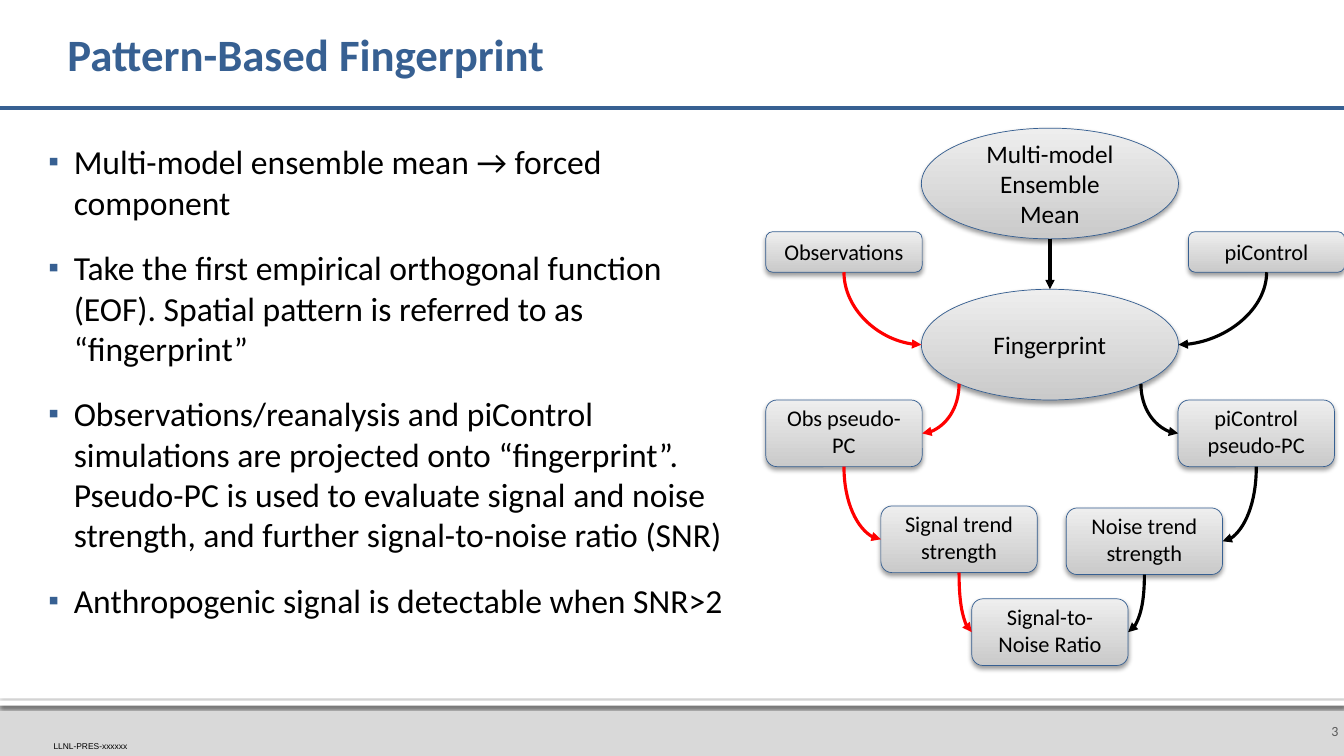
"""Build the slide on pattern-based fingerprints."""
from math import sqrt

from lxml.etree import SubElement
from pptx import Presentation
from pptx.dml.color import RGBColor
from pptx.enum.shapes import MSO_CONNECTOR as Link, MSO_SHAPE as Preset
from pptx.enum.text import MSO_ANCHOR as Anchor, MSO_AUTO_SIZE as AutoSize, PP_ALIGN as Align
from pptx.oxml.ns import qn
from pptx.util import Cm, Pt

COLORS = {
    "blue": "376092", "black": "000000", "red": "FF0000", "white": "FFFFFF",
    "band": "D9D9D9", "number": "595959", "dark": "CACACA", "light": "EEEEEE",
}
BULLETS = [
    "Multi-model ensemble mean → forced component",
    "Take the first empirical orthogonal function (EOF). Spatial pattern is "
    "referred to as “fingerprint”",
    "Observations/reanalysis and piControl simulations are projected onto "
    "“fingerprint”. Pseudo-PC is used to evaluate signal and noise strength, "
    "and further signal-to-noise ratio (SNR)",
    "Anthropogenic signal is detectable when SNR>2",
]
ELLIPSES = {
    "mean": ("Multi-model Ensemble Mean", 3.23),
    "fingerprint": ("Fingerprint", 7.29),
}
BOXES = {
    "observations": ("Observations", 19.3, 5.84, 1.02),
    "control": ("piControl", 29.95, 5.84, 1.02),
    "observed_pc": ("Obs pseudo-PC", 19.3, 10.08, 1.68),
    "control_pc": ("piControl pseudo-PC", 29.69, 10.08, 1.68),
    "signal": ("Signal trend strength", 22.2, 12.75, 1.68),
    "noise": ("Noise trend strength", 26.87, 12.8, 1.68),
    "ratio": ("Signal-to-Noise Ratio", 24.49, 15.09, 1.68),
}
CURVES = [
    ("observations", "fingerprint", "red"), ("control", "fingerprint", "black"),
    ("fingerprint", "observed_pc", "red"), ("fingerprint", "control_pc", "black"),
    ("observed_pc", "signal", "red"), ("control_pc", "noise", "black"),
    ("signal", "ratio", "red"), ("noise", "ratio", "black"),
]


def rgb(name):
    """Return the named colour."""
    return RGBColor.from_string(COLORS[name])


def add_run(paragraph, text, size, color="black", font="Calibri", bold=False):
    """Add one formatted run."""
    run = paragraph.add_run()
    run.text = text
    run.font.name, run.font.size, run.font.bold = font, Pt(size), bold
    run.font.color.rgb = rgb(color)


def set_frame(frame, anchor, margins):
    """Set wrapping, anchor and margins (left, top, right, bottom) of a text frame."""
    frame.word_wrap = True
    frame.auto_size = AutoSize.NONE
    frame.vertical_anchor = anchor
    (frame.margin_left, frame.margin_top,
     frame.margin_right, frame.margin_bottom) = map(Cm, margins)


def add_text_box(slide, place, anchor, margins):
    """Add an empty text box and return its text frame."""
    frame = slide.shapes.add_textbox(*map(Cm, place)).text_frame
    set_frame(frame, anchor, margins)
    return frame


def add_shadow(shape, opacity, blur, distance):
    """Give a shape a soft black shadow that falls downwards."""
    shape.shadow.inherit = False
    effects = shape._element.spPr.find(qn("a:effectLst"))
    shadow = SubElement(effects, qn("a:outerShdw"), blurRad=str(Pt(blur)),
                        dist=str(Pt(distance)), dir="5400000", rotWithShape="0")
    color = SubElement(shadow, qn("a:srgbClr"), val=COLORS["black"])
    SubElement(color, qn("a:alpha"), val=str(opacity * 1000))


def add_band(slide, top, height, color):
    """Add a full-width band without outline."""
    band = slide.shapes.add_shape(Preset.RECTANGLE, 0, Cm(top), Cm(33.87), Cm(height))
    band.fill.solid()
    band.fill.fore_color.rgb = rgb(color)
    band.line.fill.background()
    band.shadow.inherit = False
    return band


def add_node(slide, preset, text, place, size, anchor):
    """Add one grey gradient node of the flow chart."""
    node = slide.shapes.add_shape(preset, *map(Cm, place))
    node.fill.gradient()
    node.fill.gradient_angle = 90
    for stop, color in zip(node.fill.gradient_stops, ("dark", "light")):
        stop.color.rgb = rgb(color)
    node.line.color.rgb = rgb("blue")
    node.line.width = Pt(0.5)
    add_shadow(node, 38, 3.5, 2)
    set_frame(node.text_frame, anchor, (0.25, 0.13, 0.25, 0.13))
    paragraph = node.text_frame.paragraphs[0]
    paragraph.alignment = Align.CENTER
    add_run(paragraph, text, size)
    return node


def add_line(slide, start, end, color, width, kind=Link.STRAIGHT, arrow=True):
    """Add a connector, with an arrowhead if wanted."""
    line = slide.shapes.add_connector(kind, *map(int, (*start, *end)))
    line.line.color.rgb = rgb(color)
    line.line.width = Pt(width)
    properties = line._element.spPr
    if arrow:
        SubElement(properties.find(qn("a:ln")), qn("a:tailEnd"), type="triangle")
    SubElement(properties, qn("a:effectLst"))
    return line


def center(shape):
    """Return the centre point of a shape."""
    return shape.left + shape.width / 2, shape.top + shape.height / 2


def add_curve(slide, source, target, color):
    """Add a quarter-turn arrow from the underside of source to the side of target."""
    (source_x, source_y), (target_x, target_y) = center(source), center(target)
    side = 1 if target_x > source_x else -1
    start_x, start_y = source_x, source.top + source.height
    if source.auto_shape_type == Preset.OVAL:
        start_x = source_x + side * source.width / sqrt(8)
        start_y = source_y + source.height / sqrt(8)
    end_x = target_x - side * target.width / 2
    middle_x, middle_y = (start_x + end_x) / 2, (start_y + target_y) / 2
    half_width, half_height = (target_y - start_y) / 2, abs(end_x - start_x) / 2
    curve = add_line(slide, (middle_x + side * half_width, middle_y - half_height),
                     (middle_x - side * half_width, middle_y + half_height),
                     color, 2.25, Link.CURVE)
    properties = curve._element.spPr
    properties.find(qn("a:prstGeom")).set("prst", "curvedConnector2")
    properties.find(qn("a:xfrm")).set("rot", "16200000" if side > 0 else "5400000")


def add_title(slide):
    """Place and format the title and the rule under it."""
    title = slide.shapes.title
    title.left, title.top, title.width, title.height = map(Cm, (1.7, 0.05, 30.48, 2.79))
    set_frame(title.text_frame, Anchor.MIDDLE, (0, 0.13, 0.13, 0.13))
    paragraph = title.text_frame.paragraphs[0]
    paragraph.alignment = Align.LEFT
    paragraph.line_spacing = 0.9
    add_run(paragraph, "Pattern-Based Fingerprint", 32, "blue", bold=True)
    add_line(slide, (0, Cm(2.72)), (Cm(33.87), Cm(2.72)), "blue", 3, arrow=False)


def add_bullets(slide):
    """Add the bulleted text on the left."""
    frame = add_text_box(slide, (1.07, 3.56, 17.83, 13.56), Anchor.TOP, (0, 0, 0, 0))
    for index, text in enumerate(BULLETS):
        paragraph = frame.add_paragraph() if index else frame.paragraphs[0]
        properties = paragraph._p.get_or_add_pPr()
        properties.set("marL", str(Cm(0.79)))
        properties.set("indent", str(-Cm(0.64)))
        color = SubElement(properties, qn("a:buClr"))
        SubElement(color, qn("a:srgbClr"), val=COLORS["blue"])
        SubElement(properties, qn("a:buSzPct"), val="90000")
        SubElement(properties, qn("a:buFont"), typeface="Arial")
        SubElement(properties, qn("a:buChar"), char="▪")
        paragraph.space_before = Pt(12 if index else 0)
        paragraph.space_after = Pt(6)
        add_run(paragraph, text, 24)


def add_flow_chart(slide):
    """Add the nodes of the flow chart and the arrows between them."""
    nodes = {}
    for name, (text, top) in ELLIPSES.items():
        nodes[name] = add_node(slide, Preset.OVAL, text, (23.22, top, 6.48, 2.79),
                               18, Anchor.MIDDLE)
    for name, (text, left, top, height) in BOXES.items():
        nodes[name] = add_node(slide, Preset.ROUNDED_RECTANGLE, text,
                               (left, top, 3.94, height), 16, Anchor.BOTTOM)
    mean, fingerprint = nodes["mean"], nodes["fingerprint"]
    middle = center(mean)[0]
    add_line(slide, (middle, mean.top + mean.height), (middle, fingerprint.top),
             "black", 2.25)
    for source, target, color in CURVES:
        add_curve(slide, nodes[source], nodes[target], color)


def add_footer(slide):
    """Add the footer band, the slide number and the report number."""
    add_band(slide, 17.65, 1.4, "band")
    add_shadow(add_band(slide, 17.65, 0.13, "white"), 60, 2.5, 0.8)
    number = add_text_box(slide, (32.69, 17.78, 1.17, 1.27), Anchor.MIDDLE,
                          (0.25, 0.13, 0.13, 0.13)).paragraphs[0]
    number.alignment = Align.RIGHT
    add_run(number, "3", 10, "number")
    report = add_text_box(slide, (1.35, 18.69, 2.44, 0.25), Anchor.BOTTOM, (0, 0, 0, 0))
    add_run(report.paragraphs[0], "LLNL-PRES-xxxxxx", 6, font="Arial")


def main():
    """Build and save the presentation."""
    presentation = Presentation()
    presentation.slide_width, presentation.slide_height = Cm(33.87), Cm(19.05)
    slide = presentation.slides.add_slide(presentation.slide_layouts[5])
    add_footer(slide)
    add_title(slide)
    add_bullets(slide)
    add_flow_chart(slide)
    presentation.save("out.pptx")


if __name__ == "__main__":
    main()
